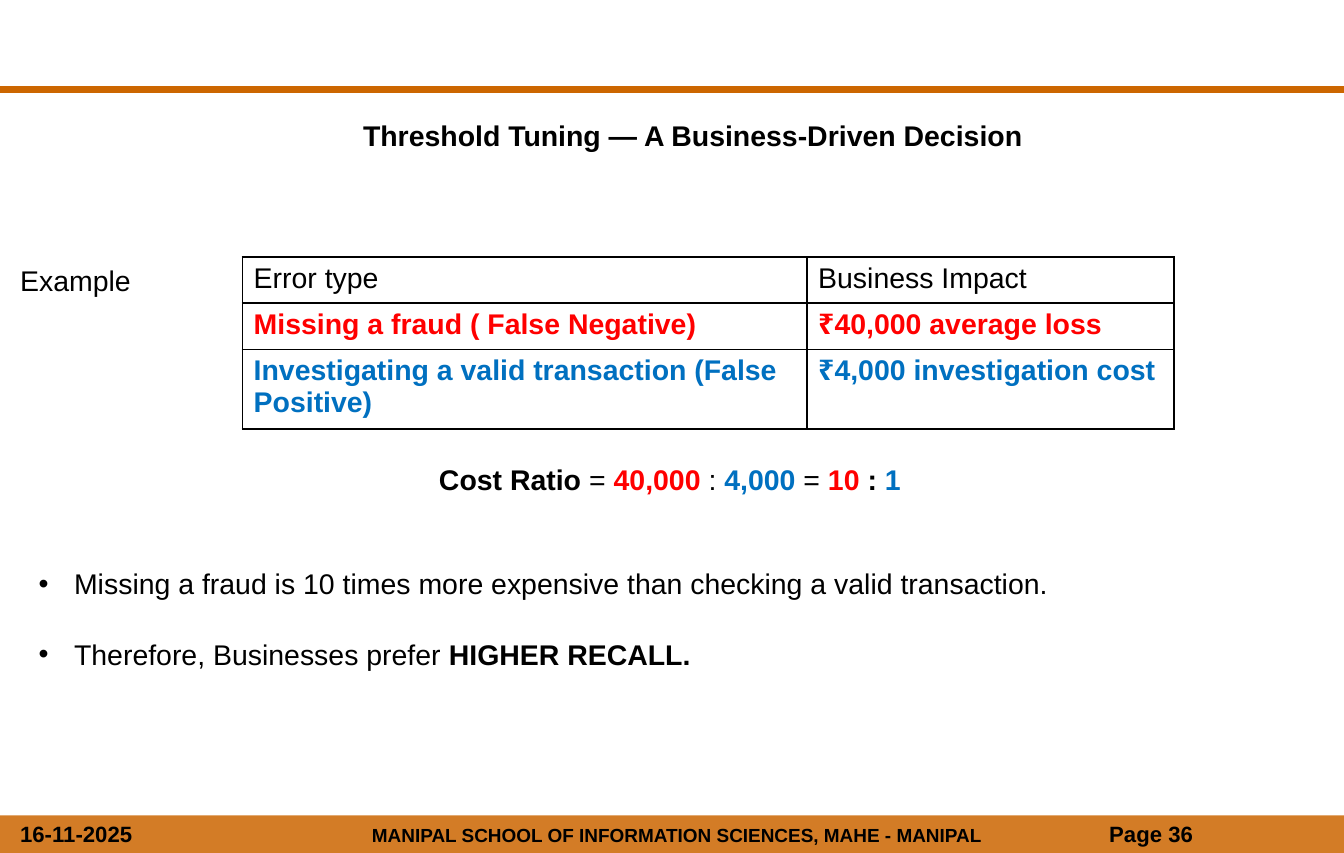
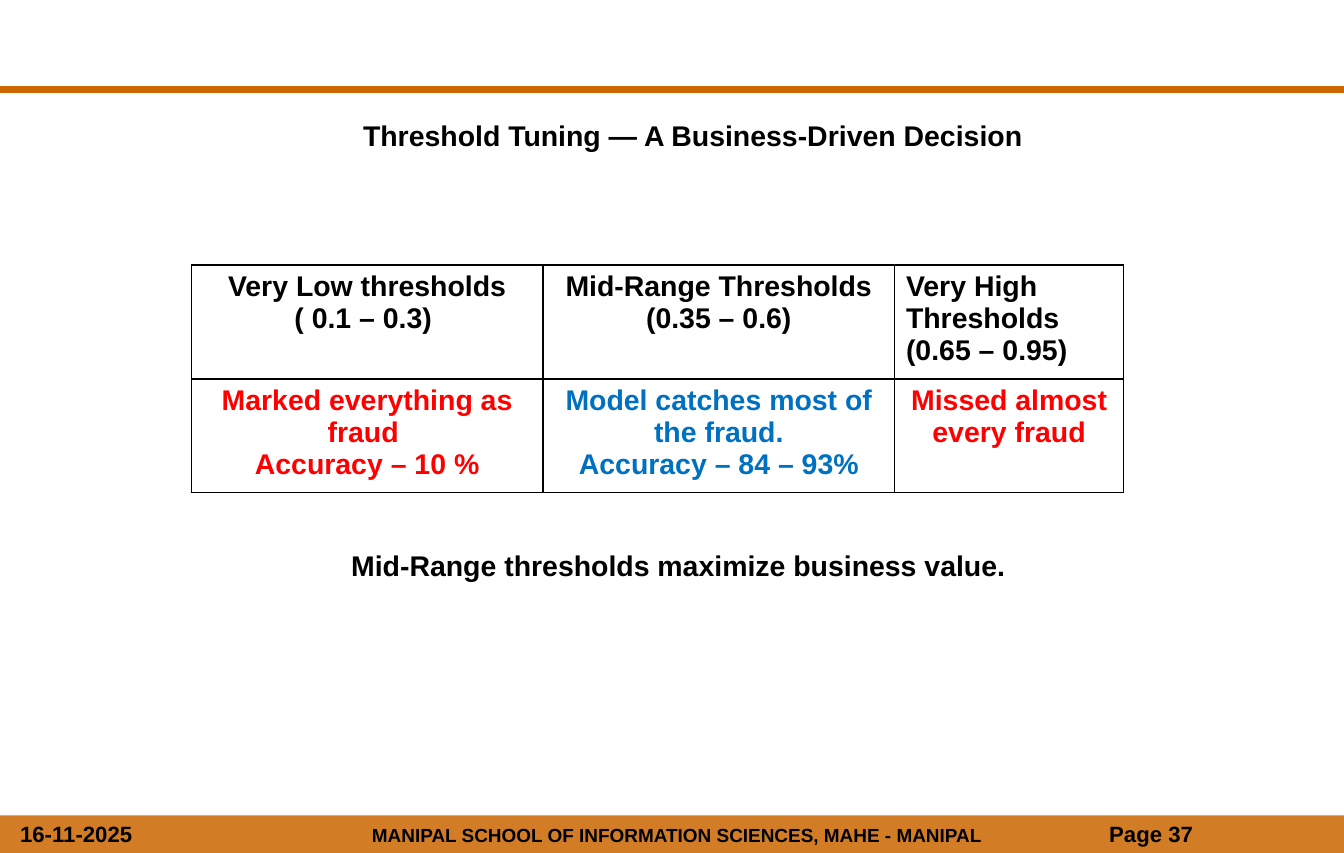
"""Build two slides on threshold tuning as a business decision."""
from lxml.etree import SubElement
from pptx import Presentation
from pptx.dml.color import RGBColor
from pptx.enum.shapes import MSO_CONNECTOR as Line, MSO_SHAPE as Shape
from pptx.enum.text import MSO_ANCHOR as Anchor, PP_ALIGN as Align
from pptx.oxml import parse_xml
from pptx.oxml.ns import nsdecls, qn
from pptx.util import Cm, Pt

BLACK = RGBColor(0, 0, 0)
WHITE = RGBColor(255, 255, 255)
RED = RGBColor(255, 0, 0)
BLUE = RGBColor(0, 0x70, 0xC0)
ORANGE = RGBColor(0xCC, 0x66, 0)
LEFT, MID = Align.LEFT, Align.CENTER


def write(frame, text, size=18, bold=False, color=BLACK, align=LEFT, new=True, gap=0):
    """Add text to a frame, each line as a paragraph or as a run of the last one."""
    for part in text.split("\n"):
        par = frame.paragraphs[-1]
        if new and par.runs:
            par = frame.add_paragraph()
        if new:
            par.alignment = align
            par.space_before = Pt(gap)
        run = par.add_run()
        run.text = part
        font = run.font
        font.name, font.size, font.bold = "Arial", Pt(size), bold
        font.color.rgb = color


def place(shape, left, top, width, height, wrap=False):
    """Move a text shape and return its frame, set to start at the top."""
    shape.left, shape.top = Cm(left), Cm(top)
    shape.width, shape.height = Cm(width), Cm(height)
    frame = shape.text_frame
    frame.word_wrap = wrap
    frame.vertical_anchor = Anchor.TOP
    return frame


deck = Presentation()
deck.slide_width, deck.slide_height = Cm(30), Cm(19.05)
cost = deck.slides.add_slide(deck.slide_layouts[1])
span = deck.slides.add_slide(deck.slide_layouts[5])

for page, slide in enumerate((cost, span), 36):
    shapes = slide.shapes
    rule = shapes.add_connector(Line.STRAIGHT, 0, Cm(2), Cm(30), Cm(2))
    rule.line.color.rgb = ORANGE
    rule.line.width = Pt(4.5)
    SubElement(rule._element.spPr, qn("a:effectLst"))

    band = shapes.add_shape(Shape.RECTANGLE, 0, Cm(18.21), Cm(30), Cm(0.84))
    band.shadow.inherit = False
    band.line.fill.background()
    band.fill.solid()
    band.fill.fore_color.rgb = ORANGE
    tint = band._element.spPr.find(".//" + qn("a:srgbClr"))
    SubElement(tint, qn("a:alpha"), val="85000")

    for text, left, top, width, size, align in (
        ("MANIPAL SCHOOL OF INFORMATION SCIENCES, MAHE - MANIPAL", 7.24, 18.26, 15.75, 12, MID),
        ("16-11-2025", 0.2, 18.19, 3.38, 14, LEFT),
        (f"Page {page}", 24.51, 18.19, 5.46, 14, LEFT),
    ):
        box = shapes.add_textbox(0, 0, 0, 0)
        frame = place(box, left, top, width, 0.8, wrap=True)
        write(frame, text, size=size, bold=True, align=align)

    frame = place(shapes.title, 7.85, 2.51, 15.37, 1.02)
    write(frame, "Threshold Tuning — A Business-Driven Decision", bold=True)

errors = [
    [("Error type", BLACK, False, LEFT), ("Business Impact", BLACK, False, LEFT)],
    [("Missing a fraud ( False Negative)", RED, True, LEFT),
     ("₹40,000 average loss", RED, True, LEFT)],
    [("Investigating a valid transaction (False Positive)", BLUE, True, LEFT),
     ("₹4,000 investigation cost", BLUE, True, LEFT)],
]
ranges = [
    [("Very Low thresholds\n( 0.1 – 0.3) ", BLACK, True, MID),
     ("Mid-Range Thresholds (0.35 – 0.6)", BLACK, True, MID),
     ("Very High Thresholds (0.65 – 0.95)", BLACK, True, LEFT)],
    [("Marked everything as fraud \nAccuracy – 10 %", RED, True, MID),
     ("Model catches most of the fraud.\nAccuracy – 84 – 93%", BLUE, True, MID),
     ("Missed almost every fraud", RED, True, MID)],
]
for slide, rows, left, top, widths, heights in (
    (cost, errors, 5.41, 5.74, (12.6, 8.2), (1.03, 1.03, 1.78)),
    (span, ranges, 4.27, 5.92, (7.85, 7.85, 5.11), (2.54, 2.54)),
):
    table = slide.shapes.add_table(
        len(rows), len(widths), Cm(left), Cm(top), Cm(sum(widths)), Cm(sum(heights))
    ).table
    table.first_row = table.horz_banding = False
    for col, width in zip(table.columns, widths):
        col.width = Cm(width)
    for row, height, line in zip(table.rows, heights, rows):
        row.height = Cm(height)
        for cell, (text, color, bold, align) in zip(row.cells, line):
            props = cell._tc.get_or_add_tcPr()
            for side in "LRTB":
                props.append(parse_xml(
                    f'<a:ln{side} {nsdecls("a")} w="12700"><a:solidFill>'
                    f'<a:srgbClr val="{BLACK}"/></a:solidFill></a:ln{side}>'
                ))
            cell.fill.solid()
            cell.fill.fore_color.rgb = WHITE
            write(cell.text_frame, text, color=color, bold=bold, align=align)

for slide, text, left, top, width, bold in (
    (cost, "Example", 0.2, 5.74, 3, False),
    (span, "Mid-Range thresholds maximize business value.", 7.59, 12.12, 15.44, True),
):
    frame = place(slide.shapes.add_textbox(0, 0, 0, 0), left, top, width, 1.02)
    write(frame, text, bold=bold)

frame = place(cost.shapes.add_textbox(0, 0, 0, 0), 9.55, 10.19, 10.87, 1.02)
for text, color, bold in (
    ("Cost Ratio ", BLACK, True), ("= ", BLACK, False), ("40,000", RED, True),
    (" : ", BLACK, False), ("4,000", BLUE, True), (" = ", BLACK, False),
    ("10 ", RED, True), (": ", BLACK, True), ("1", BLUE, True),
):
    write(frame, text, color=color, bold=bold, new=False)

frame = place(cost.placeholders[1], 0.61, 12.52, 23.09, 2.57)
write(frame, "Missing a fraud is 10 times more expensive than checking a valid transaction.")
write(frame, "Therefore, Businesses prefer ", gap=23)
write(frame, "HIGHER RECALL.", bold=True, new=False)
for par in frame.paragraphs:
    props = par._p.get_or_add_pPr()
    props.set("marL", str(Cm(0.79)))
    props.set("indent", str(-Cm(0.79)))

deck.save("out.pptx")
